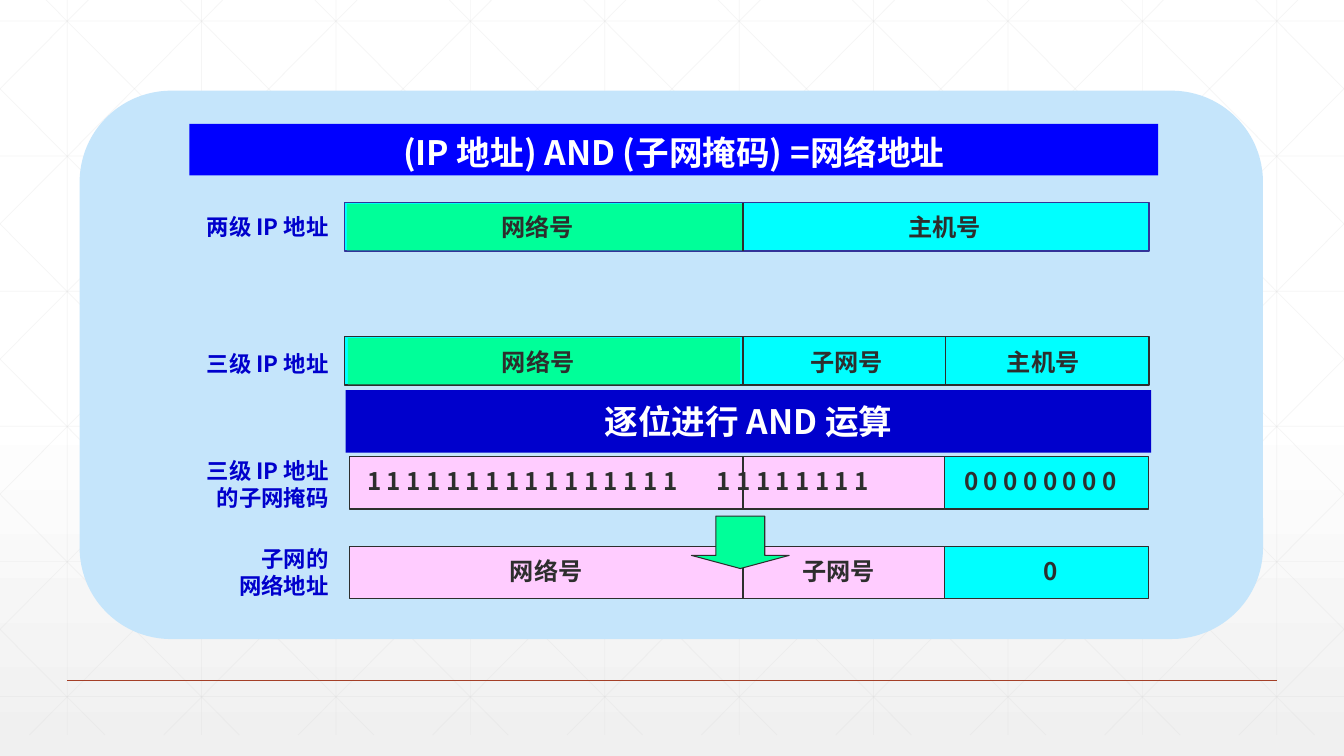
from dataclasses import dataclass

from pptx import Presentation
from pptx.dml.color import RGBColor
from pptx.enum.shapes import MSO_CONNECTOR as Connector, MSO_SHAPE as Preset
from pptx.enum.text import MSO_ANCHOR as Anchor, MSO_AUTO_SIZE as AutoSize, PP_ALIGN as Align
from pptx.oxml.ns import qn
from pptx.util import Pt
from lxml.etree import SubElement


@dataclass(frozen=True)
class Theme:
    font: str = "Noto Sans CJK SC"
    white: str = "FFFFFF"
    page_end: str = "F0F0F0"
    grid: str = "D9D9D9"
    rule: str = "A43F27"
    panel: str = "C5E5FB"
    banner: str = "0000FF"
    navy: str = "0000CC"
    ink: str = "2D2E2D"
    indigo: str = "333399"
    cyan: str = "00FFFF"
    green: str = "00FF99"
    pink: str = "FFCCFF"
    heading_size: float = 24
    caption_size: float = 17.3
    label_size: float = 16


theme = Theme()
WIDTH, HEIGHT = 960, 540
TITLE = "(IP 地址) AND (子网掩码) =网络地址"
OPERATION = "逐位进行 AND 运算"
PANEL = (56.88, 64.8, 845.28, 391.68)
BANNER = (135.36, 88.56, 691.92, 36.72)
OPERATION_BAR = (246.96, 278.64, 575.28, 44.64)
ARROW = (493.92, 368.64, 69.84, 37.44)
NETWORK_END, SUBNET_END = 530.64, 675.36

LABELS = [
    (146.16, ["两级 IP 地址"]),
    (244.08, ["三级 IP 地址"]),
    (320.4, ["三级 IP 地址", "的子网掩码"]),
    (383.04, ["子网的", "网络地址"]),
]
ADDRESS_ROWS = [
    dict(top=144.72, line=theme.indigo, network=(247.68, 282.24), dividers=[NETWORK_END],
         captions=[("网络号", 383.8, 72), ("主机号", 674.6, 72)]),
    dict(top=240.48, line=theme.ink, network=(248.4, 280.08), dividers=[NETWORK_END, SUBNET_END],
         captions=[("网络号", 384.5, 72), ("子网号", 604.8, 72), ("主机号", 745.2, 72)]),
]
MASK_ROWS = [
    dict(top=326.16, captions=[(" ".join("1" * 16), 373.2, 242), (" ".join("1" * 8), 566.4, 128),
                               (" ".join("0" * 8), 743.2, 141)]),
    dict(top=390.24, captions=[("网络号", 390.2, 72), ("子网号", 599, 72), ("0", 750.2, 30)]),
]

presentation = Presentation()
presentation.slide_width, presentation.slide_height = Pt(WIDTH), Pt(HEIGHT)
slide = presentation.slides.add_slide(presentation.slide_layouts[5])


def rgb(color):
    return RGBColor.from_string(color)


def add_line(x1, y1, x2, y2, color, width=1, opacity=None):
    line = slide.shapes.add_connector(Connector.STRAIGHT, Pt(x1), Pt(y1), Pt(x2), Pt(y2))
    line.line.color.rgb = rgb(color)
    line.line.width = Pt(width)
    if opacity:
        tint = line.element.find(".//" + qn("a:srgbClr"))
        SubElement(tint, qn("a:alpha"), val=str(opacity * 1000))
    SubElement(line.element.spPr, qn("a:effectLst"))


def add_block(preset, box, fill, line=None, width=0.75):
    shape = slide.shapes.add_shape(preset, *map(Pt, box))
    shape.shadow.inherit = False
    shape.fill.solid()
    shape.fill.fore_color.rgb = rgb(fill)
    if line:
        shape.line.color.rgb = rgb(line)
        shape.line.width = Pt(width)
    else:
        shape.line.fill.background()
    return shape


def write(shape, lines, size, color, align=Align.CENTER, anchor=Anchor.MIDDLE,
          wrap=False, inset=(0, 0), spacing=1.0):
    frame = shape.text_frame
    frame.auto_size = AutoSize.NONE
    frame.word_wrap = wrap
    frame.vertical_anchor = anchor
    frame.margin_left = frame.margin_right = Pt(inset[0])
    frame.margin_top = frame.margin_bottom = Pt(inset[1])
    for index, text in enumerate(lines):
        paragraph = frame.add_paragraph() if index else frame.paragraphs[0]
        paragraph.alignment = align
        paragraph.line_spacing = spacing
        run = paragraph.add_run()
        run.text = text
        run.font.name = theme.font
        run.font.size = Pt(size)
        run.font.bold = True
        run.font.color.rgb = rgb(color)
        SubElement(run.font._element, qn("a:ea"), typeface=theme.font)


def add_captions(captions, top):
    for text, centre, width in captions:
        box = slide.shapes.add_textbox(Pt(centre - width / 2), Pt(top), Pt(width), Pt(30.24))
        write(box, [text], theme.caption_size, theme.ink)


def draw_backdrop():
    fill = slide.background.fill
    fill.gradient()
    fill.gradient_angle = 270
    for stop, color, position in zip(fill.gradient_stops, (theme.white, theme.page_end), (0.53, 1)):
        stop.color.rgb = rgb(color)
        stop.position = position

    top, bottom, run_width = -15, 525, 537
    segments = [(x, 0, x, bottom) for x in range(48, WIDTH, 96)]
    segments += [(0, 15 + 96.5 * row, WIDTH, 15 + 96.5 * row) for row in range(6)]
    slope = (bottom - top) / run_width
    for step in range(-5, 10):
        start = 18 + 96 * step
        x1 = max(0, start - top / slope)
        x2 = min(WIDTH, start + run_width)
        y1, y2 = (top + (x - start) * slope for x in (x1, x2))
        segments += [(x1, y1, x2, y2), (WIDTH - x1, y1, WIDTH - x2, y2)]
    for segment in segments:
        add_line(*segment, theme.grid, 0.5, opacity=25)
    add_line(48, 486, 912, 486, theme.rule)


def draw_heading():
    add_block(Preset.ROUNDED_RECTANGLE, PANEL, theme.panel)
    title = slide.shapes.title
    title.left, title.top, title.width, title.height = map(Pt, BANNER)
    title.fill.solid()
    title.fill.fore_color.rgb = rgb(theme.banner)
    write(title, [TITLE], theme.heading_size, theme.white, spacing=1.1)
    slide.shapes.element.append(title.element)


def draw_labels():
    for top, lines in LABELS:
        box = slide.shapes.add_textbox(Pt(134.64), Pt(top), Pt(109.44), Pt(28.8 + 19.3 * (len(lines) - 1)))
        write(box, lines, theme.label_size, theme.navy, Align.RIGHT, Anchor.TOP,
              wrap=True, inset=(9.36, 6), spacing=Pt(19.3))


def draw_address_rows():
    for row in ADDRESS_ROWS:
        top = row["top"]
        left, width = row["network"]
        add_block(Preset.RECTANGLE, (246.24, top, 574.56, 34.56), theme.cyan, row["line"], 1)
        add_block(Preset.RECTANGLE, (left, top + 1, width, 33.12), theme.green)
        for x in row["dividers"]:
            add_line(x, top + 0.5, x, top + 34.5, theme.ink)
        add_captions(row["captions"], top + 2.5)


def draw_mask_rows():
    for row in MASK_ROWS:
        top = row["top"]
        for left, width, fill in ((674.64, 145.44, theme.cyan), (249.84, 424.8, theme.pink)):
            add_block(Preset.RECTANGLE, (left, top, width, 37.44), fill, theme.ink)
        add_line(NETWORK_END, top, NETWORK_END, top + 37.44, theme.ink)
        add_captions(row["captions"], top + 2.5)


def draw_operation():
    arrow = add_block(Preset.DOWN_ARROW, ARROW, theme.green, theme.ink)
    arrow.adjustments[0], arrow.adjustments[1] = 0.5, 0.25
    bar = add_block(Preset.RECTANGLE, OPERATION_BAR, theme.navy)
    write(bar, [OPERATION], theme.heading_size, theme.white)


if __name__ == "__main__":
    draw_backdrop()
    draw_heading()
    draw_labels()
    draw_address_rows()
    draw_mask_rows()
    draw_operation()
    presentation.save("out.pptx")
